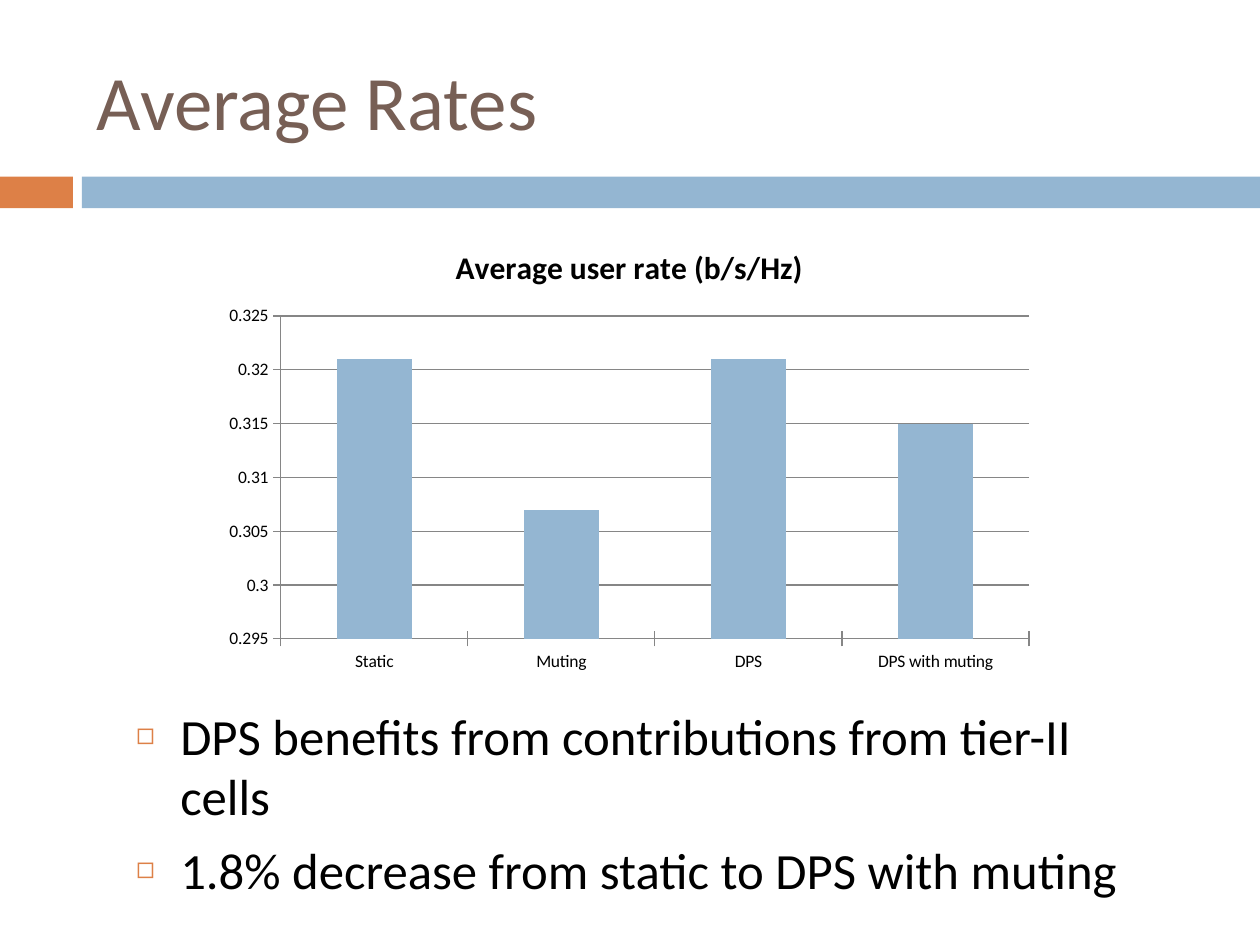
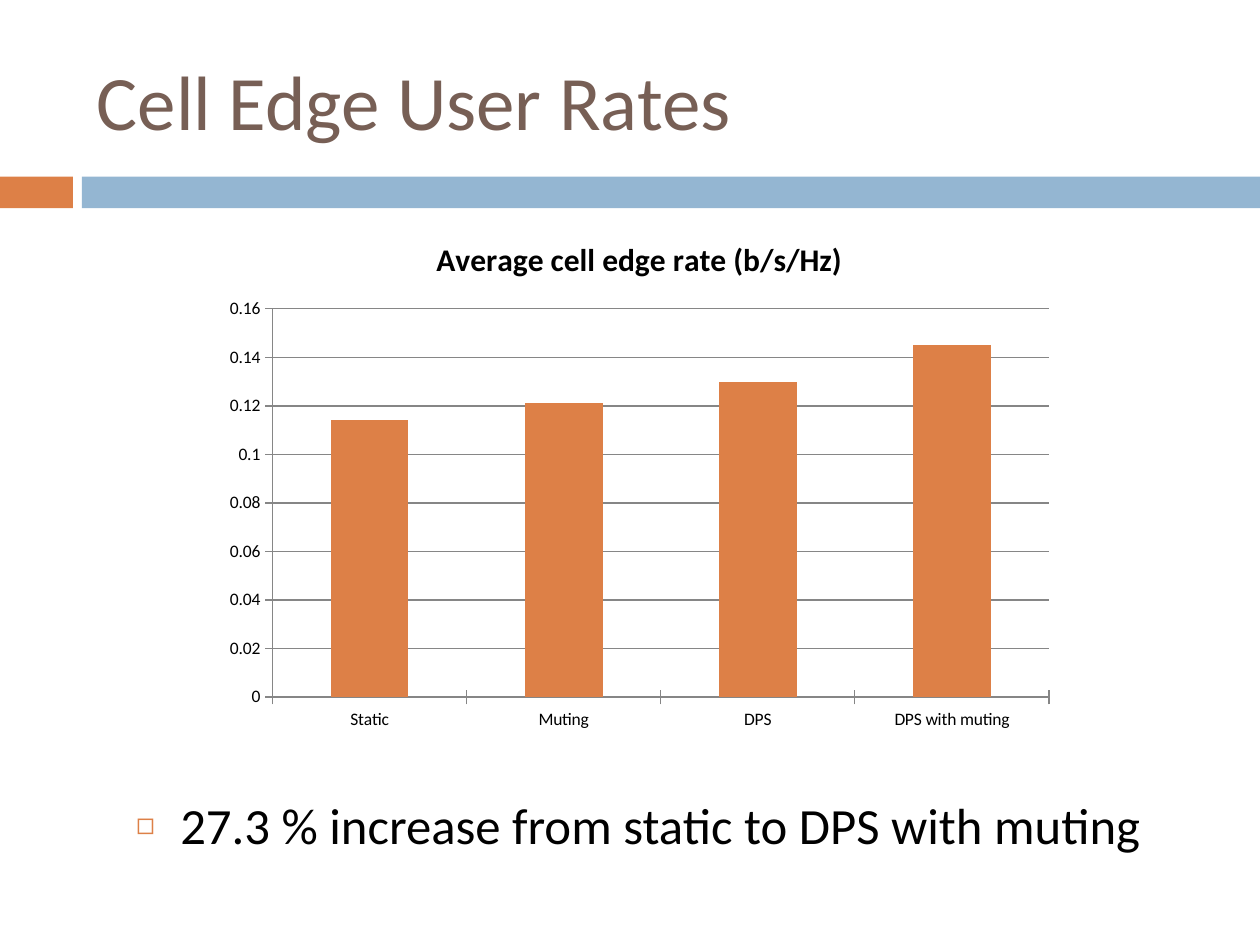
"""Two slides on user rates, each with a column chart and its findings."""
from dataclasses import dataclass

from lxml import etree
from pptx import Presentation
from pptx import util as u
from pptx.chart.data import CategoryChartData
from pptx.dml.color import RGBColor
from pptx.enum import chart as kinds, shapes, text
from pptx.oxml import ns


@dataclass(frozen=True)
class Theme:
    """Colours, font and type sizes of the deck."""
    blue: str = "94B6D2"
    rust: str = "DD8047"
    brown: str = "775F55"
    black: str = "000000"
    grey: str = "868686"
    font: str = "Calibri"
    title: int = 44
    body: int = 29
    head: int = 18
    label: int = 10


@dataclass(frozen=True)
class Box:
    """A place on the slide, in centimetres."""
    left: float
    top: float
    width: float
    height: float

    def cut(self) -> tuple:
        """Return the four lengths in the order python-pptx takes them."""
        return tuple(u.Cm(n) for n in
                     (self.left, self.top, self.width, self.height))


@dataclass(frozen=True)
class Band:
    """A filled bar under the title."""
    box: Box
    fill: str


@dataclass(frozen=True)
class Scale:
    """Range and step of the value axis."""
    low: float
    high: float
    step: float


@dataclass(frozen=True)
class Page:
    """What one slide says and where it says it."""
    title: str
    head: str
    rates: tuple
    fill: str
    scale: Scale
    plot: Box
    list_box: Box
    anchor: text.MSO_ANCHOR
    points: tuple


LOOK = Theme()
TITLE = Box(1.7, 0.64, 22.66, 2.74)
MODES = ("Static", "Muting", "DPS", "DPS with muting")
BANDS = (Band(Box(0, 3.56, 1.47, 0.64), LOOK.rust),
         Band(Box(1.65, 3.56, 23.75, 0.64), LOOK.blue))
PAGES = (
    Page("Average Rates", "Average user rate (b/s/Hz)",
         (0.321, 0.307, 0.321, 0.315), LOOK.blue,
         Scale(0.295, 0.325, 0.005),
         Box(4.29, 4.52, 16.79, 9.19), Box(2.49, 14.07, 21, 4.98),
         text.MSO_ANCHOR.TOP,
         ("DPS benefits from contributions from tier-II cells",
          "1.8% decrease from static to DPS with muting")),
    Page("Cell Edge User Rates", "Average cell edge rate (b/s/Hz)",
         (0.114, 0.121, 0.13, 0.145), LOOK.rust,
         Scale(0, 0.16, 0.02),
         Box(4.29, 4.32, 17.2, 10.59), Box(2.49, 14.53, 21, 4.19),
         text.MSO_ANCHOR.MIDDLE,
         ("27.3 % increase from static to DPS with muting",)),
)


def tint(code: str) -> RGBColor:
    """Turn a hex code into a colour."""
    return RGBColor.from_string(code)


def style(font, size: int, code: str, bold: bool = False) -> None:
    """Set the deck font in a size and colour."""
    font.name, font.size, font.bold = LOOK.font, u.Pt(size), bold
    font.color.rgb = tint(code)


def write(para, words: str, size: int, code: str, bold: bool = False) -> None:
    """Add one styled run to a paragraph."""
    run = para.add_run()
    run.text = words
    style(run.font, size, code, bold)


def place(holder, box: Box, anchor: text.MSO_ANCHOR):
    """Move a placeholder and return its text frame."""
    holder.left, holder.top, holder.width, holder.height = box.cut()
    frame = holder.text_frame
    frame.word_wrap = True
    frame.auto_size = text.MSO_AUTO_SIZE.NONE
    frame.vertical_anchor = anchor
    return frame


def mark(para) -> None:
    """Give a paragraph a hanging square bullet."""
    para.space_before = u.Pt(7)
    props = para._p.get_or_add_pPr()
    indent = u.Cm(0.89)
    props.set("marL", str(indent))
    props.set("indent", str(-indent))
    shade = etree.SubElement(props, ns.qn("a:buClr"))
    etree.SubElement(shade, ns.qn("a:srgbClr"), val=LOOK.rust)
    etree.SubElement(props, ns.qn("a:buSzPct"), val="60000")
    etree.SubElement(props, ns.qn("a:buChar"), char="\u25fb")


def add_bands(slide) -> None:
    """Draw the bands and hand them to the layout behind its placeholders."""
    tree = slide.slide_layout.shapes.element
    for n, band in enumerate(BANDS):
        bar = slide.shapes.add_shape(shapes.MSO_SHAPE.RECTANGLE,
                                     *band.box.cut())
        bar.shadow.inherit = False
        bar.fill.solid()
        bar.fill.fore_color.rgb = tint(band.fill)
        bar.line.fill.background()
        bar.element.nvSpPr.cNvPr.set("id", str(20 + n))
        tree.insert(2 + n, bar.element)


def add_plot(slide, page: Page) -> None:
    """Add the column chart of a page."""
    data = CategoryChartData(number_format="General")
    data.categories = MODES
    data.add_series(page.head, page.rates)
    chart = slide.shapes.add_chart(kinds.XL_CHART_TYPE.COLUMN_CLUSTERED,
                                   *page.plot.cut(), data).chart
    style(chart.font, LOOK.label, LOOK.black)
    chart.has_legend = False
    chart.has_title = True
    chart.chart_title.include_in_layout = False
    head = chart.chart_title.text_frame.paragraphs[0]
    write(head, page.head, LOOK.head, LOOK.black, True)

    plot = chart.plots[0]
    plot.vary_by_categories = False
    plot.gap_width = 150
    fill = plot.series[0].format.fill
    fill.solid()
    fill.fore_color.rgb = tint(page.fill)

    rate = chart.value_axis
    rate.minimum_scale, rate.maximum_scale = page.scale.low, page.scale.high
    rate.major_unit = page.scale.step
    rate.has_major_gridlines = True
    for axis in (chart.category_axis, rate):
        axis.major_tick_mark = kinds.XL_TICK_MARK.CROSS
    for part in (chart.category_axis, rate, rate.major_gridlines):
        part.format.line.color.rgb = tint(LOOK.grey)
        part.format.line.width = u.Pt(0.75)


def add_page(deck, page: Page):
    """Add one slide with its title, chart and list."""
    slide = deck.slides.add_slide(deck.slide_layouts[1])
    frame = place(slide.shapes.title, TITLE, text.MSO_ANCHOR.MIDDLE)
    para = frame.paragraphs[0]
    para.alignment = text.PP_ALIGN.LEFT
    write(para, page.title, LOOK.title, LOOK.brown)
    add_plot(slide, page)
    frame = place(slide.placeholders[1], page.list_box, page.anchor)
    for n, point in enumerate(page.points):
        para = frame.add_paragraph() if n else frame.paragraphs[0]
        mark(para)
        write(para, point, LOOK.body, LOOK.black)
    return slide


def main() -> None:
    """Build and save the deck."""
    deck = Presentation()
    deck.slide_width, deck.slide_height = u.Cm(25.4), u.Cm(19.05)
    slides = [add_page(deck, page) for page in PAGES]
    add_bands(slides[0])
    deck.save("out.pptx")


main()
